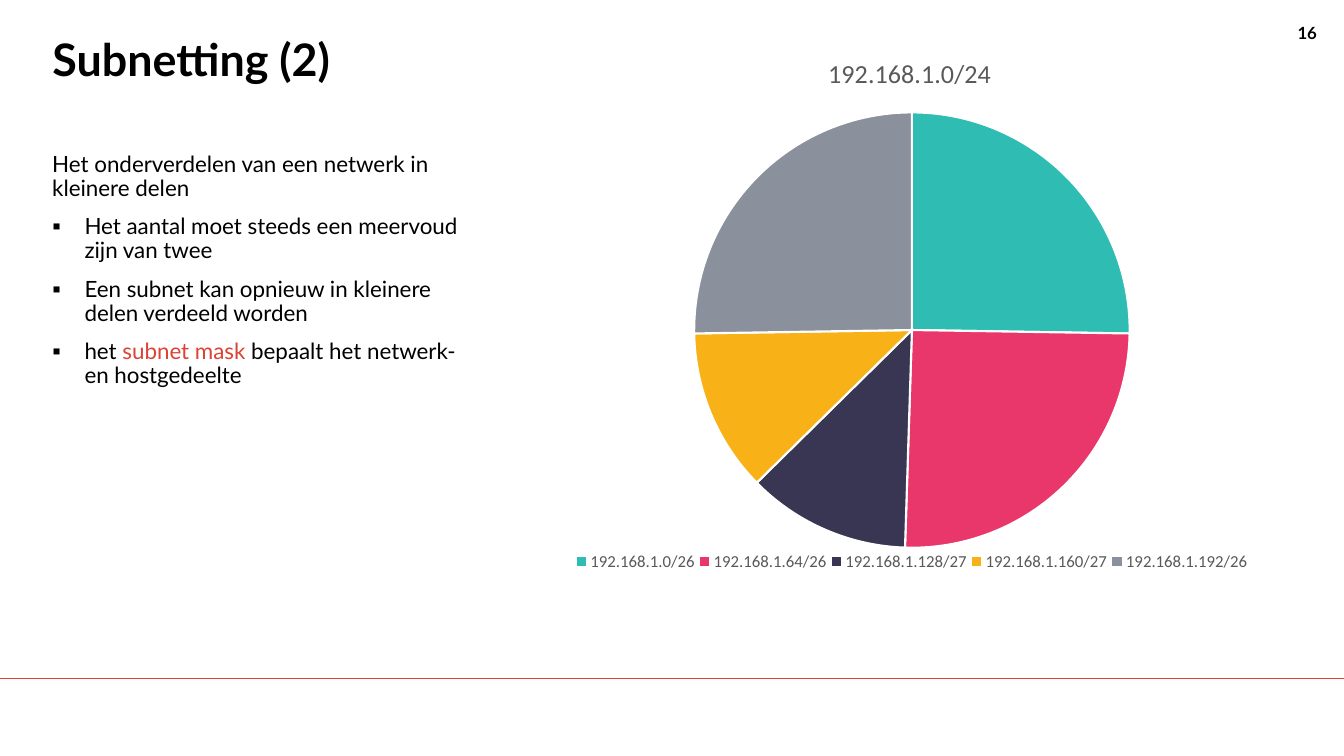
from pptx import Presentation, util as u
from pptx.chart.data import CategoryChartData
from pptx.dml.color import RGBColor
from pptx.enum import chart as ch, shapes, text
from pptx.oxml import parse_xml
from pptx.oxml.ns import nsdecls, qn
from lxml import etree

HUES = {"ink": "000000", "red": "DC4235", "grey": "595959", "white": "FFFFFF"}
SLICES = [
    ("192.168.1.0/26", 25, "2FBCB2"),
    ("192.168.1.64/26", 25, "E9376B"),
    ("192.168.1.128/27", 12, "393654"),
    ("192.168.1.160/27", 12, "F8B218"),
    ("192.168.1.192/26", 25, "8B909D"),
]
NET = "192.168.1.0/24"
BODY = [
    [("Het onderverdelen van een netwerk in kleinere delen", "ink")],
    [("Het aantal moet steeds een meervoud zijn van twee", "ink")],
    [("Een subnet kan opnieuw in kleinere delen verdeeld worden", "ink")],
    [("het ", "ink"), ("subnet mask ", "red"),
     ("bepaalt het netwerk- en hostgedeelte", "ink")],
]


def write(para, words, size, hue="ink", bold=False, face="Lato"):
    run = para.add_run()
    run.text = words
    run.font.size = u.Pt(size)
    run.font.bold = bold
    run.font.name = face
    run.font.color.rgb = RGBColor.from_string(HUES[hue])


def place(node, **parts):
    """Give a chart part a manual layout, in fractions of the chart."""
    modes = "".join(f'<c:{k}Mode val="edge"/>' for k in "xy")
    sizes = "".join(f'<c:{k} val="{v}"/>' for k, v in parts.items())
    inner = '<c:layoutTarget val="inner"/>' if node.tag == qn("c:plotArea") else ""
    for old in node.findall(qn("c:layout")):
        node.remove(old)
    spot = {qn("c:plotArea"): 0, qn("c:title"): 1, qn("c:legend"): 1}[node.tag]
    node.insert(spot, parse_xml(
        f'<c:layout {nsdecls("c")}><c:manualLayout>{inner}{modes}{sizes}'
        '</c:manualLayout></c:layout>'))


deck = Presentation()
deck.slide_width, deck.slide_height = u.Inches(13.33), u.Inches(7.5)
slide = deck.slides.add_slide(deck.slide_layouts[5])

# Footer rule
rule = slide.shapes.add_connector(
    shapes.MSO_CONNECTOR.STRAIGHT, 0, u.Inches(6.73), u.Inches(13.33), u.Inches(6.73))
rule.line.color.rgb = RGBColor.from_string(HUES["red"])
rule.line.width = u.Pt(0.5)
etree.SubElement(rule._element.spPr, qn("a:effectLst"))

# Page number
page = slide.shapes.add_textbox(
    u.Inches(12.67), u.Inches(0.18), u.Inches(0.49), u.Inches(0.3))
page.text_frame.word_wrap = True
para = page.text_frame.paragraphs[0]
para.alignment = text.PP_ALIGN.RIGHT
write(para, "16", 12, bold=True)

# Title
title = slide.shapes.title
title.left, title.top = u.Inches(0.42), u.Inches(0.32)
title.width, title.height = u.Inches(4.3), u.Inches(1.15)
title.text_frame.vertical_anchor = text.MSO_ANCHOR.TOP
title.text_frame.auto_size = text.MSO_AUTO_SIZE.NONE
para = title.text_frame.paragraphs[0]
para.alignment = text.PP_ALIGN.LEFT
para.line_spacing = 0.9
write(para, "Subnetting (2)", 32, bold=True)

# Explanation: an opening line, then bullets
body = slide.shapes.add_textbox(
    u.Inches(0.42), u.Inches(1.47), u.Inches(4.3), u.Inches(4.17)).text_frame
body.word_wrap = True
for i, runs in enumerate(BODY):
    para = body.add_paragraph() if i else body.paragraphs[0]
    para.line_spacing = 0.9
    if i:
        para.space_before = u.Pt(10)
        props = para._p.get_or_add_pPr()
        props.set("marL", str(u.Inches(0.32)))
        props.set("indent", str(-u.Inches(0.32)))
        etree.SubElement(props, qn("a:buFont")).set("typeface", "Lato")
        etree.SubElement(props, qn("a:buChar")).set("char", "▪")
    for words, hue in runs:
        write(para, words, 16, hue)

# Pie of subnets
data = CategoryChartData()
data.categories = [name for name, _, _ in SLICES]
data.add_series(NET, [size for _, size, _ in SLICES])
pie = slide.shapes.add_chart(
    ch.XL_CHART_TYPE.PIE, u.Inches(5.67), u.Inches(0.33),
    u.Inches(6.75), u.Inches(5.61), data).chart
pie.font.size = u.Pt(10)
pie.font.name = "Calibri"
pie.font.color.rgb = RGBColor.from_string(HUES["ink"])
pie.plots[0].vary_by_categories = True
for i, (_, _, hue) in enumerate(SLICES):
    form = pie.plots[0].series[0].points[i].format
    form.fill.solid()
    form.fill.fore_color.rgb = RGBColor.from_string(hue)
    form.line.color.rgb = RGBColor.from_string(HUES["white"])
    form.line.width = u.Pt(1.5)

# Chart title and legend
pie.has_title = True
write(pie.chart_title.text_frame.paragraphs[0], NET, 18.6, "grey", face="Calibri")
pie.has_legend = True
key = pie.legend
key.position = ch.XL_LEGEND_POSITION.BOTTOM
key.include_in_layout = False
key.font.size = u.Pt(12)
key.font.name = "Calibri"
key.font.color.rgb = RGBColor.from_string(HUES["grey"])

# Chart layout
place(pie.chart_title._element, x=0.37, y=0.03)
place(pie._chartSpace.chart.plotArea, x=0.18, y=0.14, w=0.64, h=0.77)
place(key._element, x=0, y=0.91, w=1, h=0.05)

deck.save("out.pptx")
